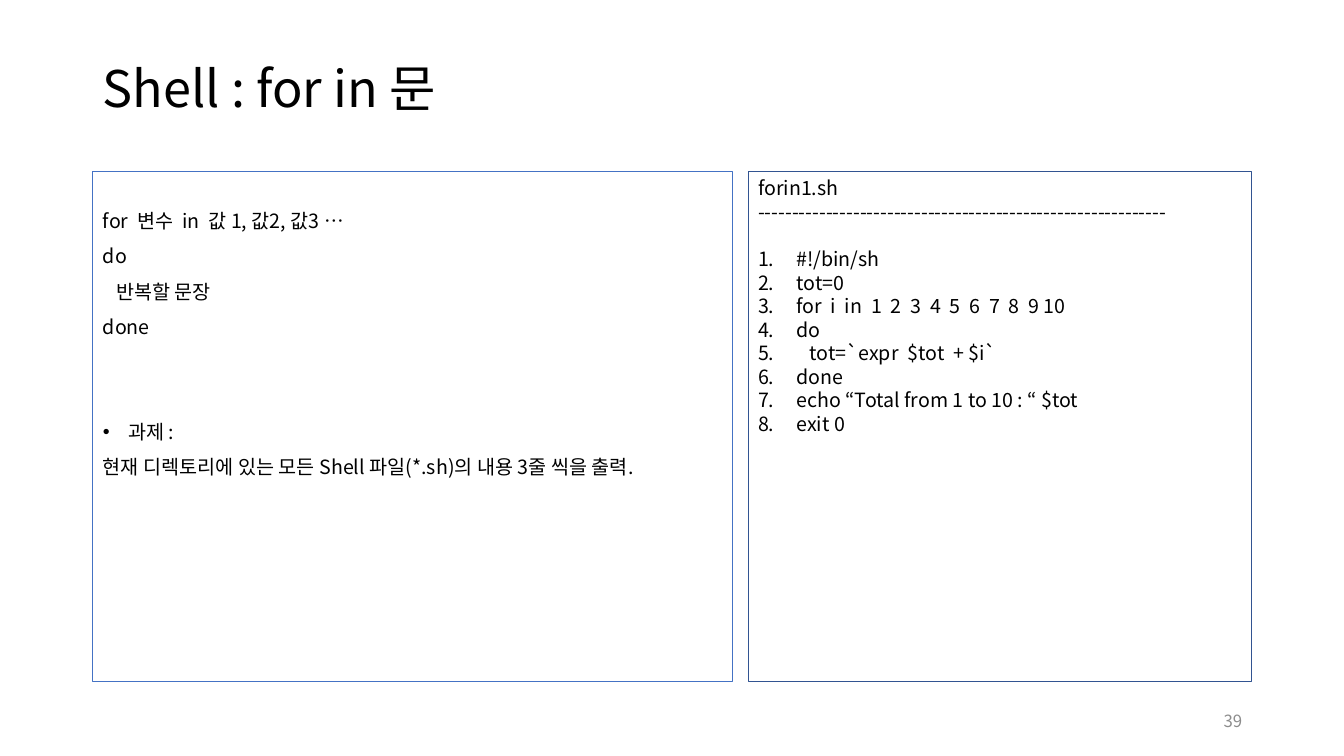
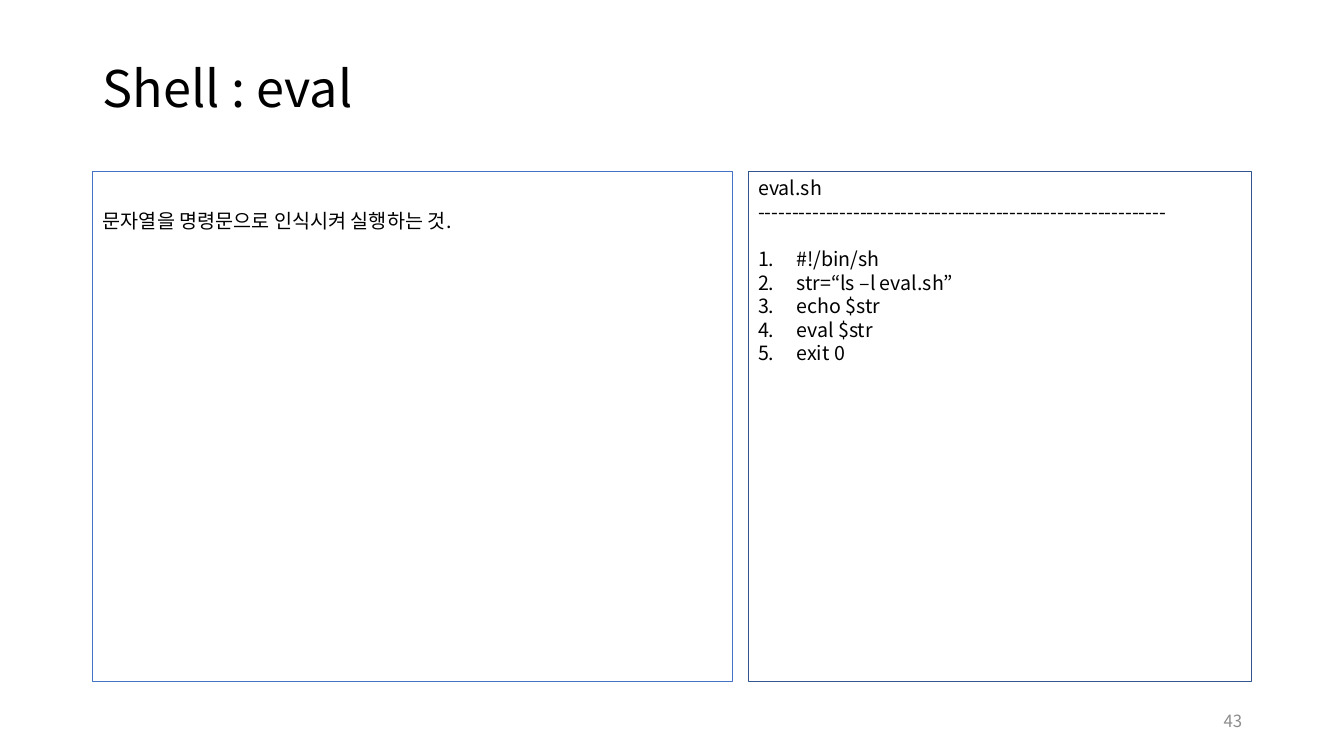
"""Build two slides on shell scripting: the for-in loop and eval."""
from lxml import etree
from pptx import Presentation
from pptx.dml.color import RGBColor
from pptx.enum.shapes import MSO_SHAPE
from pptx.enum.text import MSO_ANCHOR, MSO_AUTO_SIZE, PP_ALIGN
from pptx.oxml.ns import qn
from pptx.util import Inches, Pt

LEFT, RIGHT = PP_ALIGN.LEFT, PP_ALIGN.RIGHT
TOP, MIDDLE = MSO_ANCHOR.TOP, MSO_ANCHOR.MIDDLE
NO_FIT = MSO_AUTO_SIZE.NONE
RECTANGLE = MSO_SHAPE.RECTANGLE

FONT = "Noto Sans CJK KR"
BLACK, GREY = "000000", "8C8C8C"
BODY_LINE, CODE_LINE = "4472C4", "325491"
PANEL_TOP, PANEL_HEIGHT = 1.7, 5.06
TITLE_AT = (0.92, 0.4, 11.5, 1.01)
BODY_AT = (0.92, PANEL_TOP, 6.35, PANEL_HEIGHT)
CODE_AT = (7.42, PANEL_TOP, 4.99, PANEL_HEIGHT)
NUMBER_AT = (9.42, 6.95, 3, 0.4)
BULLET = ("buChar", {"char": "•"}, 0.25)
NUMBERED = ("buAutoNum", {"type": "arabicPeriod"}, 0.38)
NO_BULLET = ("buNone", {}, 0)

SLIDES = [
    {
        "title": "Shell : for in 문",
        "number": "39",
        "body": [
            ("for  변수  in  값 1, 값2, 값3 …", NO_BULLET, 0),
            ("do", NO_BULLET, 10),
            ("   반복할 문장", NO_BULLET, 10),
            ("done", NO_BULLET, 10),
            ("과제 :", BULLET, 60),
            ("현재 디렉토리에 있는 모든 Shell 파일(*.sh)의 내용 3줄 씩을 출력.", NO_BULLET, 10),
        ],
        "file": "forin1.sh",
        "code": [
            "#!/bin/sh",
            "tot=0",
            "for  i  in  1  2  3  4  5  6  7  8  9 10",
            "do",
            "   tot=`expr  $tot  + $i`",
            "done",
            "echo “Total from 1 to 10 : “ $tot",
            "exit 0",
        ],
    },
    {
        "title": "Shell : eval",
        "number": "43",
        "body": [("문자열을 명령문으로 인식시켜 실행하는 것.", NO_BULLET, 0)],
        "file": "eval.sh",
        "code": [
            "#!/bin/sh",
            "str=“ls –l eval.sh”",
            "echo $str",
            "eval $str",
            "exit 0",
        ],
    },
]


def prepare(box, at, anchor, line=None, weight=0.75):
    """Place a box and set its outline and text frame."""
    box.left, box.top, box.width, box.height = [Inches(value) for value in at]
    if line:
        box.fill.background()
        box.line.color.rgb = RGBColor.from_string(line)
        box.line.width = Pt(weight)
    frame = box.text_frame
    frame.word_wrap = True
    frame.auto_size = NO_FIT
    frame.vertical_anchor = anchor
    return frame


def write(frame, text, size=14, color=BLACK, align=LEFT, marker=NO_BULLET, before=0, spacing=1.0):
    """Add one paragraph to a text frame."""
    para = frame.paragraphs[0]
    if para.runs:
        para = frame.add_paragraph()
    tag, attributes, indent = marker
    properties = para._p.get_or_add_pPr()
    properties.set("marL", str(Inches(indent)))
    properties.set("indent", str(-Inches(indent)))
    etree.SubElement(properties, qn("a:" + tag), attributes)
    para.alignment = align
    para.line_spacing = spacing
    para.space_before = Pt(before)
    span = para.add_run()
    span.text = text
    span.font.size = Pt(size)
    span.font.name = FONT
    span.font.color.rgb = RGBColor.from_string(color)
    etree.SubElement(span.font._element, qn("a:ea"), {"typeface": FONT})


deck = Presentation()
deck.slide_width, deck.slide_height = Inches(13.33), Inches(7.5)

for content in SLIDES:
    page = deck.slides.add_slide(deck.slide_layouts[1])

    title = prepare(page.shapes.title, TITLE_AT, MIDDLE)
    write(title, content["title"], size=36, spacing=0.9)

    body = prepare(page.placeholders[1], BODY_AT, TOP, BODY_LINE)
    body.margin_top = Inches(0.4)
    for text, marker, before in content["body"]:
        write(body, text, marker=marker, before=before, spacing=0.9)

    number_box = page.shapes.add_textbox(0, 0, 0, 0)
    number = prepare(number_box, NUMBER_AT, MIDDLE)
    write(number, content["number"], size=12, color=GREY, align=RIGHT)

    code_box = page.shapes.add_shape(RECTANGLE, 0, 0, 0, 0)
    code_box.shadow.inherit = False
    code = prepare(code_box, CODE_AT, TOP, CODE_LINE, 0.25)
    write(code, content["file"])
    write(code, "-" * 60)
    for index, text in enumerate(content["code"]):
        write(code, text, marker=NUMBERED, before=0 if index else 17)

deck.save("out.pptx")
